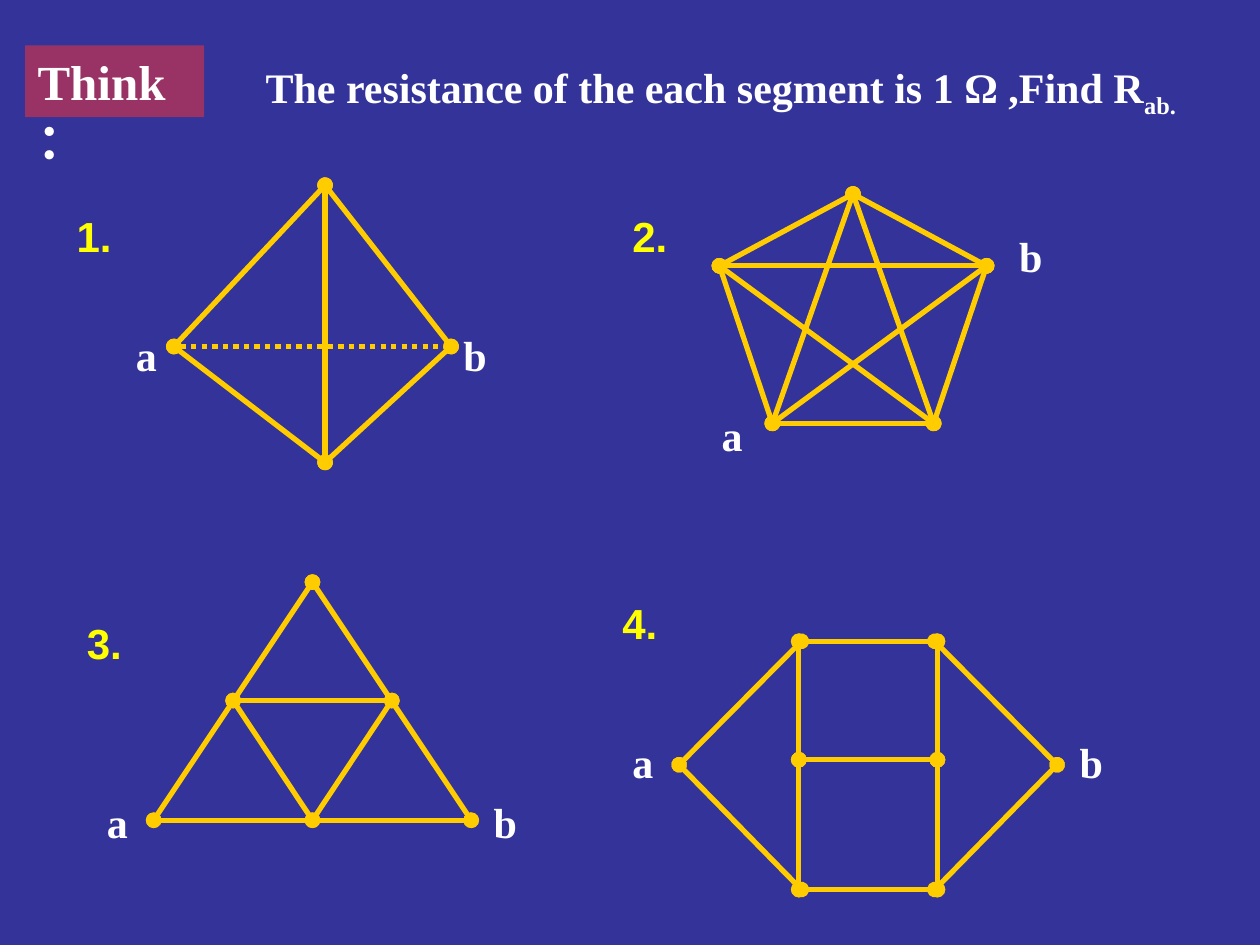
from dataclasses import dataclass

from lxml import etree
from pptx import Presentation
from pptx.dml.color import RGBColor
from pptx.enum.dml import MSO_LINE
from pptx.enum.shapes import MSO_CONNECTOR, MSO_SHAPE
from pptx.enum.text import MSO_ANCHOR, PP_ALIGN
from pptx.oxml.ns import qn
from pptx.util import Inches, Pt

STRAIGHT = MSO_CONNECTOR.STRAIGHT
RECTANGLE = MSO_SHAPE.RECTANGLE
DOTTED = MSO_LINE.ROUND_DOT
TOP = MSO_ANCHOR.TOP
LEFT = PP_ALIGN.LEFT


@dataclass(frozen=True)
class Theme:
    background: RGBColor = RGBColor(0x33, 0x33, 0x99)
    badge: RGBColor = RGBColor(0x99, 0x33, 0x66)
    text: RGBColor = RGBColor(0xFF, 0xFF, 0xFF)
    number: RGBColor = RGBColor(0xFF, 0xFF, 0x00)
    wire: RGBColor = RGBColor(0xFF, 0xCC, 0x00)
    serif: str = "Times New Roman"
    sans: str = "Arial"
    badge_size: int = 28
    body_size: int = 24
    wire_width: int = 3


@dataclass(frozen=True)
class Circuit:
    number: str
    number_at: tuple
    a_at: tuple
    b_at: tuple
    nodes: dict
    wires: str
    dotted: str = ""


THEME = Theme()

CIRCUITS = [
    Circuit(
        "1.", (0.51, 1.62), (0.98, 2.57), (3.58, 2.57),
        {"A": (1.38, 2.75), "B": (3.58, 2.75), "T": (2.58, 1.47), "U": (2.58, 3.67)},
        "TA TU TB AU UB", "AB",
    ),
    Circuit(
        "2.", (4.92, 1.62), (5.63, 3.2), (7.99, 1.78),
        {"A": (6.13, 3.36), "B": (7.83, 2.11), "T": (6.77, 1.54),
         "L": (5.71, 2.11), "R": (7.41, 3.36)},
        "BL TR TA LR BA TL BR TB LA RA",
    ),
    Circuit(
        "3.", (0.59, 4.85), (0.75, 6.27), (3.82, 6.27),
        {"A": (1.22, 6.51), "B": (3.74, 6.51), "T": (2.48, 4.62),
         "L": (1.85, 5.56), "R": (3.11, 5.56), "M": (2.48, 6.51)},
        "BA TA TB RL ML MR",
    ),
    Circuit(
        "4.", (4.84, 4.69), (4.92, 5.8), (8.47, 5.8),
        {"A": (5.39, 6.07), "B": (8.39, 6.07),
         "P": (6.36, 5.09), "Q": (7.42, 5.09), "S": (6.36, 7.06), "V": (7.42, 7.06),
         "C": (6.34, 5.09), "D": (7.44, 5.09), "E": (6.34, 6.03),
         "F": (7.44, 6.03), "G": (6.34, 7.06), "H": (7.44, 7.06)},
        "PA QB BV AS CE DF CD EG FH EF GH",
    ),
]


def add_span(para, text, size=THEME.body_size, font=THEME.serif,
             color=THEME.text, baseline=None):
    span = para.add_run()
    span.text = text
    span.font.size = Pt(size)
    span.font.name = font
    span.font.bold = True
    span.font.color.rgb = color
    if baseline is not None:
        span.font._element.set("baseline", str(baseline))


def add_text(page, text, at, width, wrap=False, **style):
    box = page.shapes.add_textbox(*map(Inches, at), Inches(width), Inches(0.5))
    box.text_frame.word_wrap = wrap
    para = box.text_frame.paragraphs[0]
    add_span(para, text, **style)
    return para


def add_badge(page, text):
    box = page.shapes.add_shape(
        RECTANGLE, Inches(0.2), Inches(0.36), Inches(1.42), Inches(0.57))
    box.shadow.inherit = False
    box.fill.solid()
    box.fill.fore_color.rgb = THEME.badge
    box.line.fill.background()
    box.text_frame.word_wrap = True
    box.text_frame.vertical_anchor = TOP
    para = box.text_frame.paragraphs[0]
    para.alignment = LEFT
    add_span(para, text, size=THEME.badge_size)


def add_wire(page, start, end, dash=None):
    wire = page.shapes.add_connector(STRAIGHT, *map(Inches, start + end))
    wire.line.color.rgb = THEME.wire
    wire.line.width = Pt(THEME.wire_width)
    if dash is not None:
        wire.line.dash_style = dash
    outline = wire.line._get_or_add_ln()
    for tag in ("a:headEnd", "a:tailEnd"):
        etree.SubElement(outline, qn(tag), type="oval")
    etree.SubElement(wire._element.spPr, qn("a:effectLst"))


def add_circuit(page, circuit):
    add_text(page, circuit.number, circuit.number_at, 0.48,
             font=THEME.sans, color=THEME.number)
    for names, dash in ((circuit.wires, None), (circuit.dotted, DOTTED)):
        for start, end in names.split():
            add_wire(page, circuit.nodes[start], circuit.nodes[end], dash)
    add_text(page, "a", circuit.a_at, 0.37)
    add_text(page, "b", circuit.b_at, 0.39)


def main():
    deck = Presentation()
    deck.slide_width = Inches(10)
    deck.slide_height = Inches(7.5)
    page = deck.slides.add_slide(deck.slide_layouts[6])
    page.background.fill.solid()
    page.background.fill.fore_color.rgb = THEME.background

    add_badge(page, "Think：")
    question = add_text(page, "The resistance of the each segment is 1 Ω ,Find R",
                        (2.01, 0.44), 7.64, wrap=True)
    add_span(question, "ab.", baseline=-25000)
    for circuit in CIRCUITS:
        add_circuit(page, circuit)
    deck.save("out.pptx")


if __name__ == "__main__":
    main()
